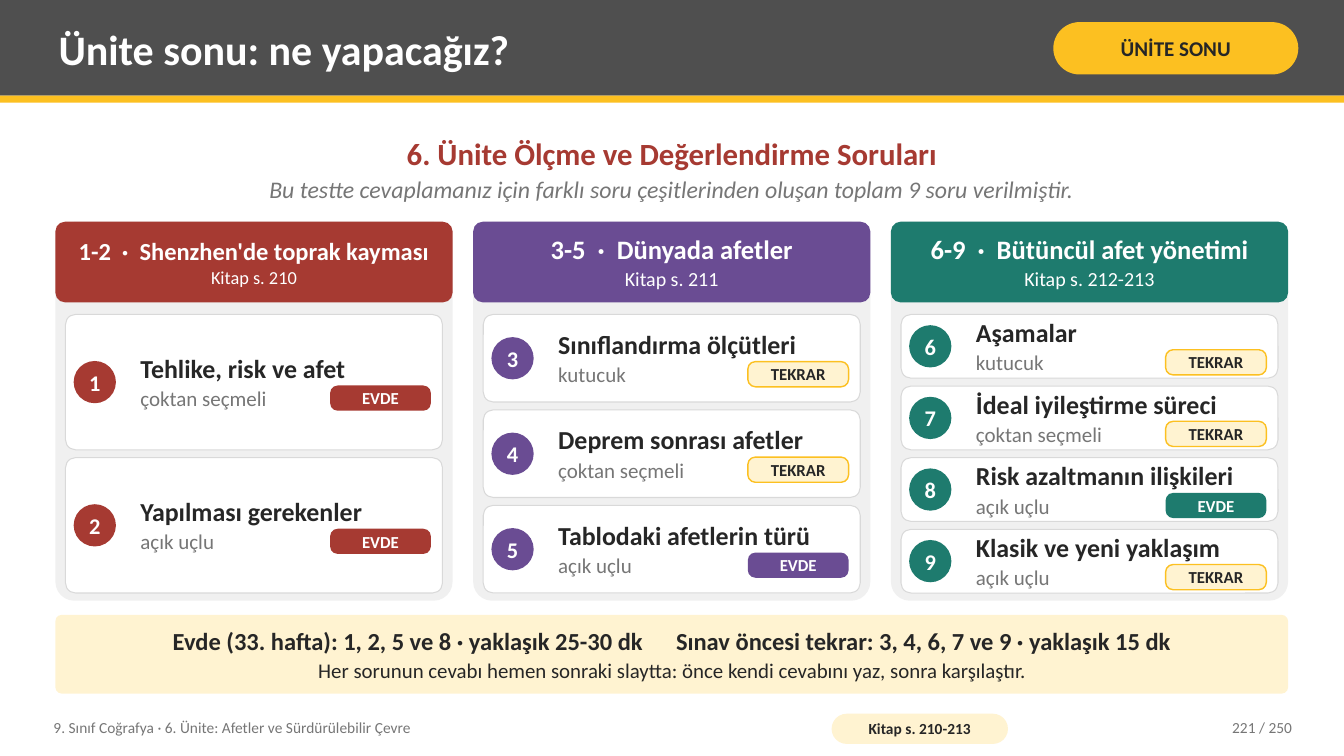
"""Build the end-of-unit overview slide with its three question columns."""
from dataclasses import dataclass

from lxml import etree
from pptx import Presentation
from pptx import util as u
from pptx.dml import color as dml
from pptx.enum import shapes, text
from pptx.oxml import ns

COLOURS = {
    "bar": "4F4F4F", "yellow": "FCC021", "cream": "FFF3D1", "white": "FFFFFF",
    "ink": "262626", "muted": "767676", "panel": "F0F0F0", "border": "D9D9D9",
    "red": "A63A32", "purple": "6A4C93", "green": "1E7B6E",
}
RECTANGLE = shapes.MSO_SHAPE.RECTANGLE
ROUNDED = shapes.MSO_SHAPE.ROUNDED_RECTANGLE
OVAL = shapes.MSO_SHAPE.OVAL
LEFT, CENTER, RIGHT = text.PP_ALIGN.LEFT, text.PP_ALIGN.CENTER, text.PP_ALIGN.RIGHT
TOP, MIDDLE, BOTTOM = text.MSO_ANCHOR.TOP, text.MSO_ANCHOR.MIDDLE, text.MSO_ANCHOR.BOTTOM
COLUMN_LEFT, COLUMN_TOP, COLUMN_WIDTH, COLUMN_PITCH = 39.6, 158.4, 283.7, 298.4
CARDS_TOP, CARDS_HEIGHT, CARD_GAP, CARD_RADIUS = 224.6, 199, 5.6, 7.2
BADGE = 30.2


@dataclass(frozen=True)
class Box:
    """A rectangle in points."""
    left: float
    top: float
    width: float
    height: float


@dataclass(frozen=True)
class Line:
    """One paragraph of uniform text."""
    words: str
    size: float
    colour: str = "ink"
    bold: bool = False
    italic: bool = False
    align: text.PP_ALIGN = CENTER
    after: float = 0
    centre_tabs: tuple[float, ...] = ()


@dataclass(frozen=True)
class Question:
    """A numbered question, its type and whether it is homework."""
    number: int
    name: str
    kind: str
    homework: bool = False


@dataclass(frozen=True)
class Column:
    """A headed group of questions."""
    heading: str
    pages: str
    colour: str
    heading_size: float
    pages_size: float
    questions: tuple[Question, ...]


COLUMNS = (
    Column("1-2  ·  Shenzhen'de toprak kayması", "Kitap s. 210", "red", 17.5, 13.1, (
        Question(1, "Tehlike, risk ve afet", "çoktan seçmeli", True),
        Question(2, "Yapılması gerekenler", "açık uçlu", True),
    )),
    Column("3-5  ·  Dünyada afetler", "Kitap s. 211", "purple", 19, 14.3, (
        Question(3, "Sınıflandırma ölçütleri", "kutucuk"),
        Question(4, "Deprem sonrası afetler", "çoktan seçmeli"),
        Question(5, "Tablodaki afetlerin türü", "açık uçlu", True),
    )),
    Column("6-9  ·  Bütüncül afet yönetimi", "Kitap s. 212-213", "green", 19, 14.3, (
        Question(6, "Aşamalar", "kutucuk"),
        Question(7, "İdeal iyileştirme süreci", "çoktan seçmeli"),
        Question(8, "Risk azaltmanın ilişkileri", "açık uçlu", True),
        Question(9, "Klasik ve yeni yaklaşım", "açık uçlu"),
    )),
)


def rgb(name: str) -> dml.RGBColor:
    """Return a named colour."""
    return dml.RGBColor.from_string(COLOURS[name])


def write(shape, lines: tuple[Line, ...], anchor=MIDDLE, inset=(5.8, 2.9), wrap=True) -> None:
    """Fill a shape's text frame with lines."""
    frame = shape.text_frame
    frame.auto_size = text.MSO_AUTO_SIZE.NONE
    frame.word_wrap = wrap
    frame.vertical_anchor = anchor
    frame.margin_left = frame.margin_right = u.Pt(inset[0])
    frame.margin_top = frame.margin_bottom = u.Pt(inset[1])
    for index, line in enumerate(lines):
        paragraph = frame.add_paragraph() if index else frame.paragraphs[0]
        paragraph.alignment = line.align
        paragraph.space_before = u.Pt(0)
        paragraph.space_after = u.Pt(line.after)
        if line.centre_tabs:
            tabs = etree.SubElement(paragraph._p.get_or_add_pPr(), ns.qn("a:tabLst"))
            for position in line.centre_tabs:
                etree.SubElement(tabs, ns.qn("a:tab"), pos=str(u.Pt(position)), algn="ctr")
        run = paragraph.add_run()
        run.text = line.words
        run.font.name = "Calibri"
        run.font.size = u.Pt(line.size)
        run.font.bold = line.bold
        run.font.italic = line.italic
        run.font.color.rgb = rgb(line.colour)


def add_text(slide, box: Box, *lines: Line, anchor=MIDDLE, inset=(5.8, 2.9)) -> None:
    """Add a wrapped text box."""
    shape = slide.shapes.add_textbox(*map(u.Pt, (box.left, box.top, box.width, box.height)))
    write(shape, lines, anchor, inset)


def add_block(slide, kind, box: Box, fill: str, *lines: Line, corner: float = 0,
              border: str = "", border_width: float = 1, inset=(2.9, 0), wrap=True) -> None:
    """Add a flat filled shape with optional border and text."""
    shape = slide.shapes.add_shape(
        kind, *map(u.Pt, (box.left, box.top, box.width, box.height)))
    shape.shadow.inherit = False
    if kind == ROUNDED:
        shape.adjustments[0] = corner
    shape.fill.solid()
    shape.fill.fore_color.rgb = rgb(fill)
    if border:
        shape.line.color.rgb = rgb(border)
        shape.line.width = u.Pt(border_width)
    else:
        shape.line.fill.background()
    if lines:
        write(shape, lines, inset=inset, wrap=wrap)


def add_question(slide, question: Question, colour: str, left: float, top: float,
                 height: float) -> None:
    """Draw one question card within its column."""
    middle = top + height / 2
    add_block(slide, ROUNDED, Box(left + 7.2, top, 269.3, height), "white",
              corner=CARD_RADIUS / height, border="border", border_width=0.75)
    add_block(slide, OVAL, Box(left + 13, middle - BADGE / 2, BADGE, BADGE), colour,
              Line(str(question.number), 16, "white", True), inset=(0, 0), wrap=False)
    add_text(slide, Box(left + 54.9, middle - 22, 214.6, 23),
             Line(question.name, 18.5, bold=True, align=LEFT), anchor=BOTTOM, inset=(5.8, 0))
    add_text(slide, Box(left + 54.9, middle + 1, 139, 21),
             Line(question.kind, 15, "muted", align=LEFT), inset=(5.8, 0))
    tag = Box(left + 196.2, middle + 2.4, 72, 18)
    if question.homework:
        add_block(slide, ROUNDED, tag, colour, Line("EVDE", 12, "white", True), corner=0.3)
    else:
        add_block(slide, ROUNDED, tag, "cream", Line("TEKRAR", 12, bold=True),
                  corner=0.3, border="yellow")


def add_column(slide, column: Column, left: float) -> None:
    """Draw a column panel, its heading and its cards."""
    add_block(slide, ROUNDED, Box(left, COLUMN_TOP, COLUMN_WIDTH, 270.7), "panel", corner=0.05)
    add_block(slide, ROUNDED, Box(left, COLUMN_TOP, COLUMN_WIDTH, 57.6), column.colour,
              Line(column.heading, column.heading_size, "white", True, after=1),
              Line(column.pages, column.pages_size, "white"), corner=0.12, inset=(10, 5.8))
    count = len(column.questions)
    height = (CARDS_HEIGHT - (count - 1) * CARD_GAP) / count
    for row, question in enumerate(column.questions):
        top = CARDS_TOP + row * (height + CARD_GAP)
        add_question(slide, question, column.colour, left, top, height)


def add_header(slide) -> None:
    """Draw the top bar, the title and the unit label."""
    add_block(slide, RECTANGLE, Box(0, 0, 960, 68.4), "bar")
    add_block(slide, RECTANGLE, Box(0, 68.4, 960, 5), "yellow")
    title = slide.shapes.title
    title.left, title.top, title.width, title.height = map(u.Pt, (36, 5, 702, 59))
    write(title, (Line("Ünite sonu: ne yapacağız?", 30, "white", True, align=LEFT),))
    slide.shapes._spTree.append(title._element)
    add_block(slide, ROUNDED, Box(752.4, 15.8, 175, 37.4), "yellow",
              Line("ÜNİTE SONU", 15, bold=True), corner=0.5, inset=(3.6, 1.4))


def add_footer(slide) -> None:
    """Draw the plan banner and the footer row."""
    add_block(slide, ROUNDED, Box(39.6, 439.2, 880.5, 56.2), "cream",
              Line("\tEvde (33. hafta): 1, 2, 5 ve 8 · yaklaşık 25-30 dk"
                   "\tSınav öncesi tekrar: 3, 4, 6, 7 ve 9 · yaklaşık 15 dk",
                   17.5, bold=True, align=LEFT, after=1.8, centre_tabs=(240.7, 609)),
              Line("Her sorunun cevabı hemen sonraki slaytta: "
                   "önce kendi cevabını yaz, sonra karşılaştır.", 14.9),
              corner=0.08, inset=(10, 5.8))
    add_text(slide, Box(32.4, 506.9, 547.2, 25.9),
             Line("9. Sınıf Coğrafya · 6. Ünite: Afetler ve Sürdürülebilir Çevre",
                  11, "muted", align=LEFT))
    add_block(slide, ROUNDED, Box(594, 509.8, 126, 21.6), "cream",
              Line("Kitap s. 210-213", 11, bold=True), corner=0.5)
    add_text(slide, Box(813.6, 506.9, 115.2, 25.9),
             Line("221 / 250", 11, "muted", align=RIGHT))


def main() -> None:
    """Build and save the presentation."""
    presentation = Presentation()
    presentation.slide_width, presentation.slide_height = u.Pt(960), u.Pt(540)
    slide = presentation.slides.add_slide(presentation.slide_layouts[5])
    add_header(slide)
    add_text(slide, Box(39.6, 93.6, 880.5, 57.6),
             Line("6. Ünite Ölçme ve Değerlendirme Soruları", 22, "red", True, after=2),
             Line("Bu testte cevaplamanız için farklı soru çeşitlerinden oluşan "
                  "toplam 9 soru verilmiştir.", 17, "muted", italic=True), anchor=TOP)
    for index, column in enumerate(COLUMNS):
        add_column(slide, column, COLUMN_LEFT + index * COLUMN_PITCH)
    add_footer(slide)
    presentation.save("out.pptx")


if __name__ == "__main__":
    main()
